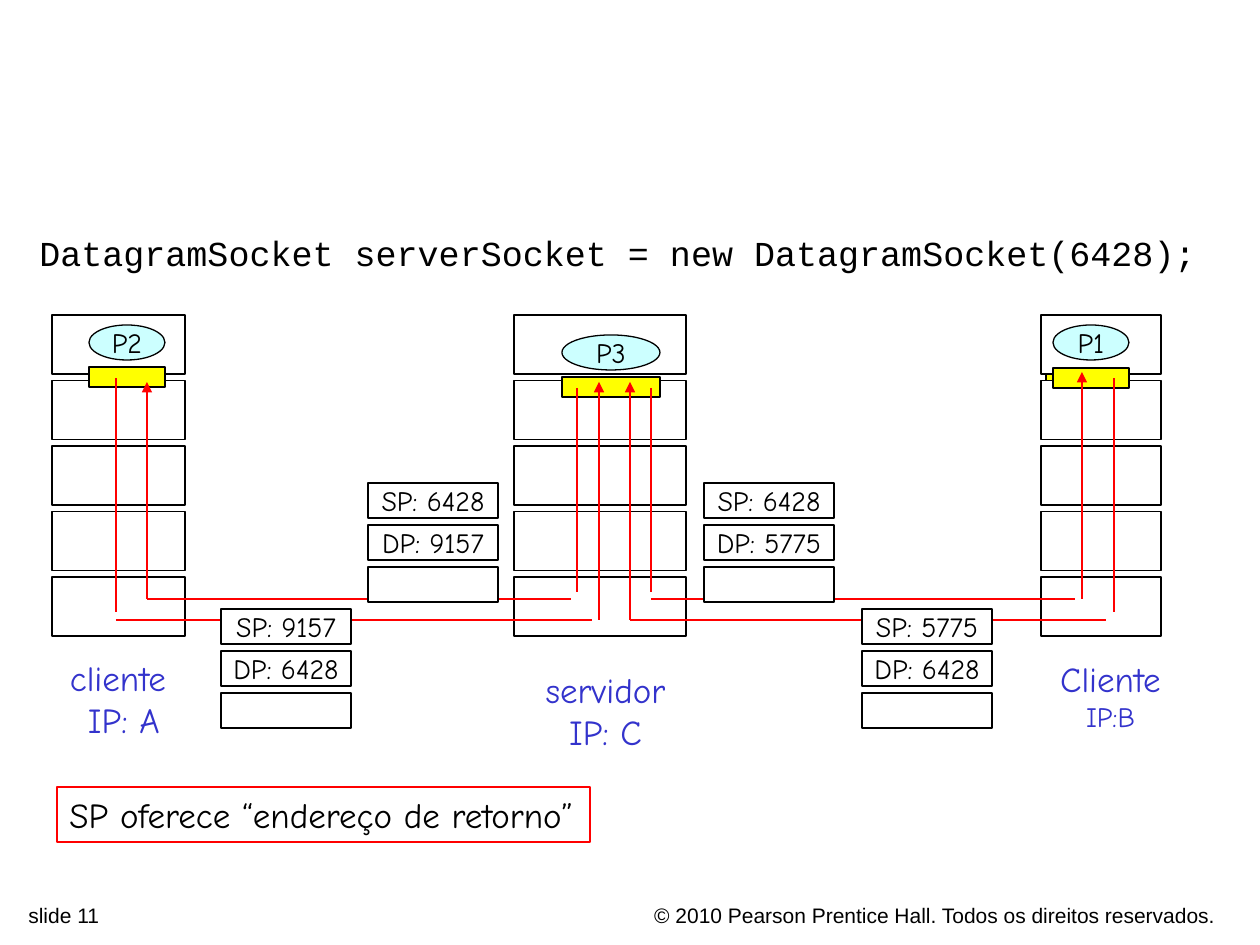
"""Build the slide showing datagram sockets shared by two clients and one server."""
import dataclasses

import lxml.etree
import pptx
import pptx.dml.color
import pptx.enum.shapes
import pptx.enum.text
import pptx.oxml.ns
import pptx.util

SHAPE = pptx.enum.shapes.MSO_SHAPE
ALIGN = pptx.enum.text.PP_ALIGN
EMU_PER_PX = 914400 / 126


@dataclasses.dataclass(frozen=True)
class Theme:
    ink: str = "000000"
    paper: str = "FFFFFF"
    socket: str = "FFFF00"
    process: str = "CCFFFF"
    host: str = "3333CC"
    flow: str = "FF0000"
    hand: str = "Comic Neue"
    code: str = "Courier New"
    footer: str = "Arial"
    large: int = 20
    medium: int = 16
    small: int = 12
    outline: float = 0.75
    flow_width: float = 1.5


THEME = Theme()

CODE = "DatagramSocket serverSocket = new DatagramSocket(6428);"
REMARK = "SP oferece “endereço de retorno”"
SLIDE_NUMBER = "slide 11"
COPYRIGHT = "© 2010 Pearson Prentice Hall. Todos os direitos reservados."

HOSTS = [
    dict(stack=(52, 133), process="P2", oval=(89, 325, 76), sockets=[(89, 367)],
         label=("cliente", " IP: A"), label_box=(57, 650, 122, 97), sizes=(THEME.large, THEME.large)),
    dict(stack=(1041, 120), process="P1", oval=(1053, 325, 76), sockets=[(1046, 363), (1053, 368)],
         label=("Cliente", "IP:B"), label_box=(1047, 651, 127, 88), sizes=(THEME.large, THEME.medium)),
    dict(stack=(514, 172), process="P3", oval=(562, 335, 98), sockets=[(562, 377)],
         label=("servidor", "IP: C"), label_box=(533, 662, 145, 97), sizes=(THEME.large, THEME.large)),
]
LAYERS, STACK_TOP, LAYER_HEIGHT, LAYER_PITCH = 5, 315, 59, 65.5
OVAL_HEIGHT, SOCKET_HEIGHT = 35, 20

UPPER, LOWER = 599, 620
ARROWS = [(147, UPPER, 382), (1082, UPPER, 372), (599, LOWER, 382), (630, LOWER, 382)]
DROPS = [(116, 378, 612), (1114, 378, 612), (577, 388, 592), (651, 388, 592)]
LINKS = [(147, 571, UPPER), (116, 592, LOWER), (630, 1106, LOWER), (651, 1075, UPPER)]

PACKETS = [
    (368, 483, ("SP: 6428", "DP: 9157", "")),
    (221, 609, ("SP: 9157", "DP: 6428", "")),
    (704, 483, ("SP: 6428", "DP: 5775", "")),
    (862, 609, ("SP: 5775", "DP: 6428", "")),
]
FIELD_WIDTH, FIELD_HEIGHT, FIELD_PITCH = 130, 35, 42


def px(length):
    return pptx.util.Emu(round(length * EMU_PER_PX))


def rgb(value):
    return pptx.dml.color.RGBColor.from_string(value)


def write(shape, lines, sizes, face, color, align, wrap=False):
    frame = shape.text_frame
    frame.text = "\n".join(lines)
    frame.word_wrap = wrap
    for paragraph, size in zip(frame.paragraphs, sizes):
        paragraph.alignment = align
        for run in paragraph.runs:
            run.font.size = pptx.util.Pt(size)
            run.font.name = face
            run.font.color.rgb = rgb(color)


def add_text(slide, box, lines, sizes, face, color, align, wrap=False):
    textbox = slide.shapes.add_textbox(*map(px, box))
    write(textbox, lines, sizes, face, color, align, wrap)


def add_block(slide, kind, box, fill, text="", line=THEME.ink):
    block = slide.shapes.add_shape(kind, *map(px, box))
    block.shadow.inherit = False
    if fill:
        block.fill.solid()
        block.fill.fore_color.rgb = rgb(fill)
    else:
        block.fill.background()
    block.line.color.rgb = rgb(line)
    block.line.width = pptx.util.Pt(THEME.outline)
    if text:
        write(block, [text], [THEME.medium], THEME.hand, THEME.ink, ALIGN.CENTER)
    return block


def add_flow(slide, start, end, arrow=False):
    flow = slide.shapes.add_connector(
        pptx.enum.shapes.MSO_CONNECTOR.STRAIGHT, *map(px, start + end))
    flow.line.color.rgb = rgb(THEME.flow)
    flow.line.width = pptx.util.Pt(THEME.flow_width)
    qn = pptx.oxml.ns.qn
    if arrow:
        lxml.etree.SubElement(flow.line._get_or_add_ln(), qn("a:tailEnd"), type="triangle")
    lxml.etree.SubElement(flow._element.spPr, qn("a:effectLst"))


def add_host(slide, host):
    left, width = host["stack"]
    oval_left, oval_top, oval_width = host["oval"]
    sockets = [(x, y, oval_width, SOCKET_HEIGHT) for x, y in host["sockets"]]
    for hidden in sockets[:-1]:
        add_block(slide, SHAPE.RECTANGLE, hidden, THEME.socket)
    for layer in range(LAYERS):
        top = STACK_TOP + layer * LAYER_PITCH
        add_block(slide, SHAPE.RECTANGLE, (left, top, width, LAYER_HEIGHT), THEME.paper)
    add_block(slide, SHAPE.RECTANGLE, sockets[-1], THEME.socket)
    add_block(slide, SHAPE.OVAL, (oval_left, oval_top, oval_width, OVAL_HEIGHT),
              THEME.process, host["process"])
    add_text(slide, host["label_box"], host["label"], host["sizes"],
             THEME.hand, THEME.host, ALIGN.CENTER)


def main():
    deck = pptx.Presentation()
    deck.slide_width, deck.slide_height = px(1260), px(945)
    slide = deck.slides.add_slide(deck.slide_layouts[6])

    add_text(slide, (585, 896, 643, 30), [COPYRIGHT], [THEME.small],
             THEME.footer, THEME.ink, ALIGN.RIGHT, True)
    add_text(slide, (16, 896, 444, 30), [SLIDE_NUMBER], [THEME.small],
             THEME.footer, THEME.ink, ALIGN.LEFT, True)
    add_text(slide, (27, 225, 1197, 80), [CODE], [THEME.large],
             THEME.code, THEME.ink, ALIGN.LEFT, True)

    for host in HOSTS:
        add_host(slide, host)
    for x, bottom, top in ARROWS:
        add_flow(slide, (x, bottom), (x, top), arrow=True)
    for x, top, bottom in DROPS:
        add_flow(slide, (x, top), (x, bottom))
    for left, right, y in LINKS:
        add_flow(slide, (left, y), (right, y))
    for left, top, fields in PACKETS:
        for row, field in enumerate(fields):
            box = (left, top + row * FIELD_PITCH, FIELD_WIDTH, FIELD_HEIGHT)
            add_block(slide, SHAPE.RECTANGLE, box, THEME.paper, field)

    remark = add_block(slide, SHAPE.RECTANGLE, (57, 787, 533, 55), None, line=THEME.flow)
    write(remark, [REMARK], [THEME.large], THEME.hand, THEME.ink, ALIGN.LEFT)

    deck.save("out.pptx")


if __name__ == "__main__":
    main()
